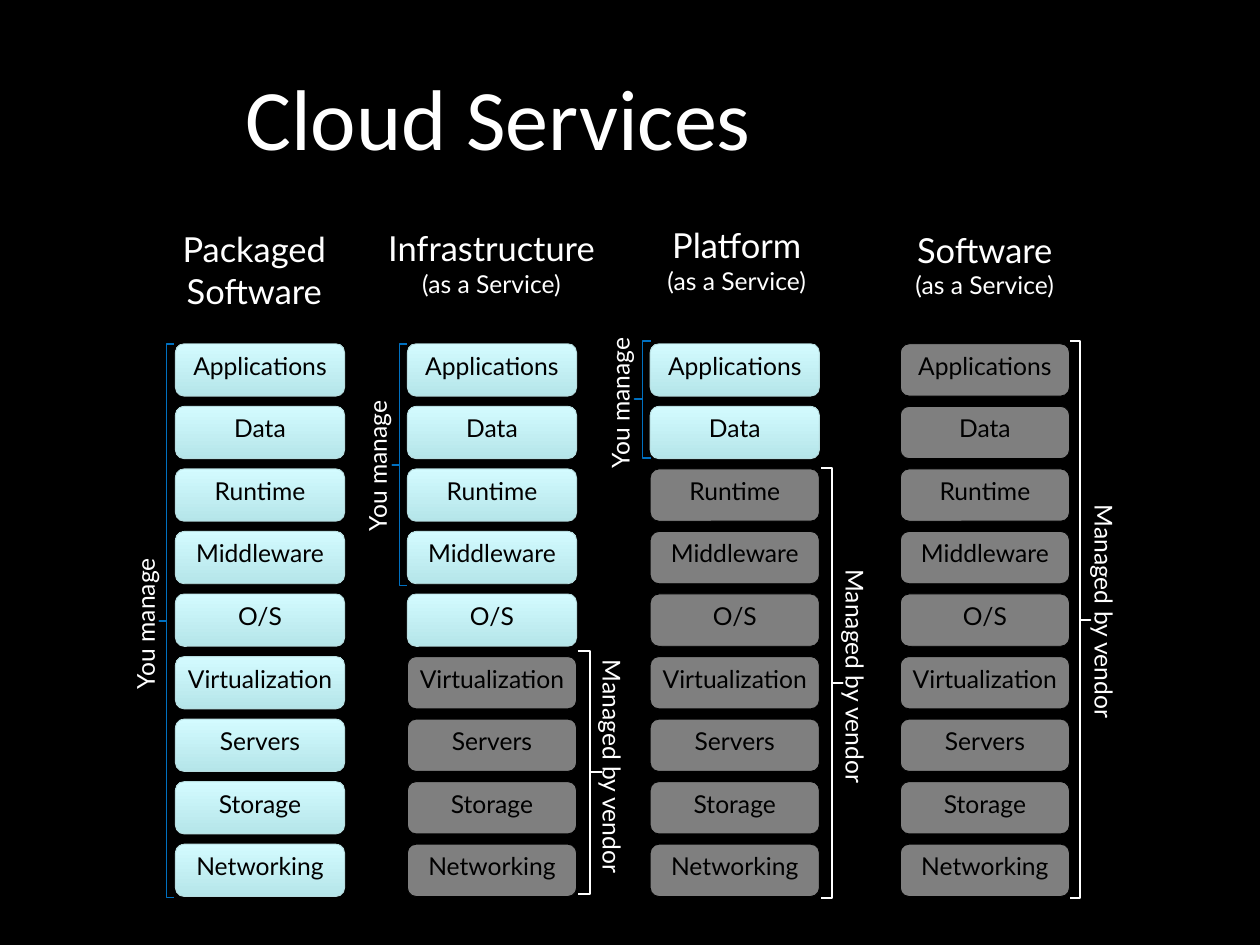
import dataclasses

import pptx
import pptx.dml.color
import pptx.enum.shapes
import pptx.enum.text
import pptx.util

Cm = pptx.util.Cm
Pt = pptx.util.Pt
PRESET = pptx.enum.shapes.MSO_SHAPE
ALIGN = pptx.enum.text.PP_ALIGN
ANCHOR = pptx.enum.text.MSO_ANCHOR


@dataclasses.dataclass(frozen=True)
class Theme:
    background: str = "000000"
    light_text: str = "FFFFFF"
    dark_text: str = "000000"
    own_bottom: str = "B5E5E9"
    own_top: str = "D3FBFF"
    own_edge: str = "B6DCDF"
    vendor_fill: str = "7F7F7F"
    vendor_edge: str = "000000"
    own_brace: str = "0070C0"
    vendor_brace: str = "FFFFFF"
    title_font: str = "Calibri"
    body_font: str = "Lato"
    title_size: int = 70
    heading_size: int = 28
    body_size: int = 20


THEME = Theme()

LAYERS = ["Applications", "Data", "Runtime", "Middleware", "O/S",
          "Virtualization", "Servers", "Storage", "Networking"]
FIRST_TOP, LAST_TOP = 9.86, 24.21
LAYER_PITCH = (LAST_TOP - FIRST_TOP) / (len(LAYERS) - 1)
LAYER_WIDTH, LAYER_HEIGHT = 4.85, 1.5
PANEL_HEIGHT = 19.56
LABEL_WIDTH = 1.37


@dataclasses.dataclass(frozen=True)
class Span:
    """Brace box (left, top, width, height) and label corner, in cm."""
    brace: tuple
    label: tuple


@dataclasses.dataclass(frozen=True)
class Service:
    heading: str
    panel: tuple  # left, top, width
    layer_left: float
    own_layers: int
    subheading: str = "(as a Service)"
    own: Span | None = None
    vendor: Span | None = None


SERVICES = [
    Service("Packaged Software", (4.52, 6.15, 5.54), 5.03, 9, subheading="",
            own=Span((4.57, 9.86, 0.41, 15.88), (3.61, 15.77))),
    Service("Infrastructure", (10.24, 6.02, 7.7), 11.68, 5,
            own=Span((11.25, 9.86, 0.41, 6.93), (10.26, 11.25)),
            vendor=Span((16.56, 18.67, 0.69, 6.96), (16.74, 18.67))),
    Service("Platform", (18.16, 6.02, 5.92), 18.64, 2,
            own=Span((18.19, 9.78, 0.46, 3.35), (17.22, 9.45)),
            vendor=Span((23.55, 13.41, 0.61, 12.34), (23.7, 16.08))),
    Service("Software", (25.22, 6.15, 6.02), 25.81, 0,
            vendor=Span((30.68, 9.78, 0.58, 15.98), (30.84, 14.22))),
]


def rgb(code):
    return pptx.dml.color.RGBColor.from_string(code)


def write(frame, text, *, size=THEME.body_size, color=THEME.light_text,
          font=THEME.body_font, align=ALIGN.CENTER):
    """Put text in the frame's empty first paragraph, or in a new one."""
    first = frame.paragraphs[0]
    paragraph = frame.add_paragraph() if first.runs else first
    paragraph.alignment = align
    run = paragraph.add_run()
    run.text = text
    run.font.size = Pt(size)
    run.font.name = font
    run.font.color.rgb = rgb(color)


def add_preset(shapes, preset, left, top, width, height):
    preset_shape = shapes.add_shape(preset, Cm(left), Cm(top), Cm(width), Cm(height))
    preset_shape.shadow.inherit = False
    preset_shape.text_frame.word_wrap = True
    preset_shape.text_frame.vertical_anchor = ANCHOR.TOP
    return preset_shape


def add_panel(shapes, service):
    panel = add_preset(shapes, PRESET.ROUNDED_RECTANGLE, *service.panel, PANEL_HEIGHT)
    panel.fill.background()
    panel.line.fill.background()
    write(panel.text_frame, service.heading, size=THEME.heading_size)
    if service.subheading:
        write(panel.text_frame, service.subheading)
    else:
        panel.text_frame.margin_left = panel.text_frame.margin_right = 0


def add_layer(shapes, name, left, top, is_own):
    layer = add_preset(shapes, PRESET.ROUNDED_RECTANGLE, left, top,
                       LAYER_WIDTH, LAYER_HEIGHT)
    if is_own:
        layer.fill.gradient()
        layer.fill.gradient_angle = 90
        for stop, color in zip(layer.fill.gradient_stops,
                               (THEME.own_bottom, THEME.own_top)):
            stop.color.rgb = rgb(color)
    else:
        layer.fill.solid()
        layer.fill.fore_color.rgb = rgb(THEME.vendor_fill)
    layer.line.color.rgb = rgb(THEME.own_edge if is_own else THEME.vendor_edge)
    layer.line.width = Pt(0.75)
    layer.text_frame.margin_left = layer.text_frame.margin_right = 0
    write(layer.text_frame, name, color=THEME.dark_text)


def add_span(shapes, span, preset, color, text, text_length, direction):
    """Draw a square brace and the upright label beside it."""
    brace = add_preset(shapes, preset, *span.brace)
    brace.adjustments[0] = 0
    brace.fill.background()
    brace.line.color.rgb = rgb(color)
    brace.line.width = Pt(1.5)

    left, top = span.label
    label = shapes.add_textbox(Cm(left), Cm(top), Cm(LABEL_WIDTH), Cm(text_length))
    frame = label.text_frame
    frame.word_wrap = False
    frame.auto_size = pptx.enum.text.MSO_AUTO_SIZE.SHAPE_TO_FIT_TEXT
    frame._txBody.bodyPr.set("vert", direction)
    write(frame, text, align=ALIGN.LEFT)


def add_service(slide, service):
    shapes = slide.shapes.add_group_shape().shapes
    add_panel(shapes, service)
    for index, name in enumerate(LAYERS):
        add_layer(shapes, name, service.layer_left,
                  FIRST_TOP + index * LAYER_PITCH, index < service.own_layers)
    if service.own:
        add_span(shapes, service.own, PRESET.LEFT_BRACE, THEME.own_brace,
                 "You manage", 4.24, "vert270")
    if service.vendor:
        add_span(shapes, service.vendor, PRESET.RIGHT_BRACE, THEME.vendor_brace,
                 "Managed by vendor", 6.55, "eaVert")


def add_title(slide):
    title = slide.shapes.add_textbox(Cm(6.88), Cm(0.43), Cm(26.24), Cm(5.82))
    frame = title.text_frame
    frame.word_wrap = True
    frame.vertical_anchor = ANCHOR.MIDDLE
    frame.margin_left = frame.margin_right = Cm(0.15)
    frame.margin_top = frame.margin_bottom = Cm(0.15)
    write(frame, "Cloud Services", size=THEME.title_size,
          font=THEME.title_font, align=ALIGN.LEFT)


def main():
    deck = pptx.Presentation()
    deck.slide_width, deck.slide_height = Cm(36.12), Cm(27.1)
    slide = deck.slides.add_slide(deck.slide_layouts[6])
    slide.background.fill.solid()
    slide.background.fill.fore_color.rgb = rgb(THEME.background)

    # Service columns
    for service in SERVICES:
        add_service(slide, service)

    # Title
    add_title(slide)
    deck.save("out.pptx")


if __name__ == "__main__":
    main()
